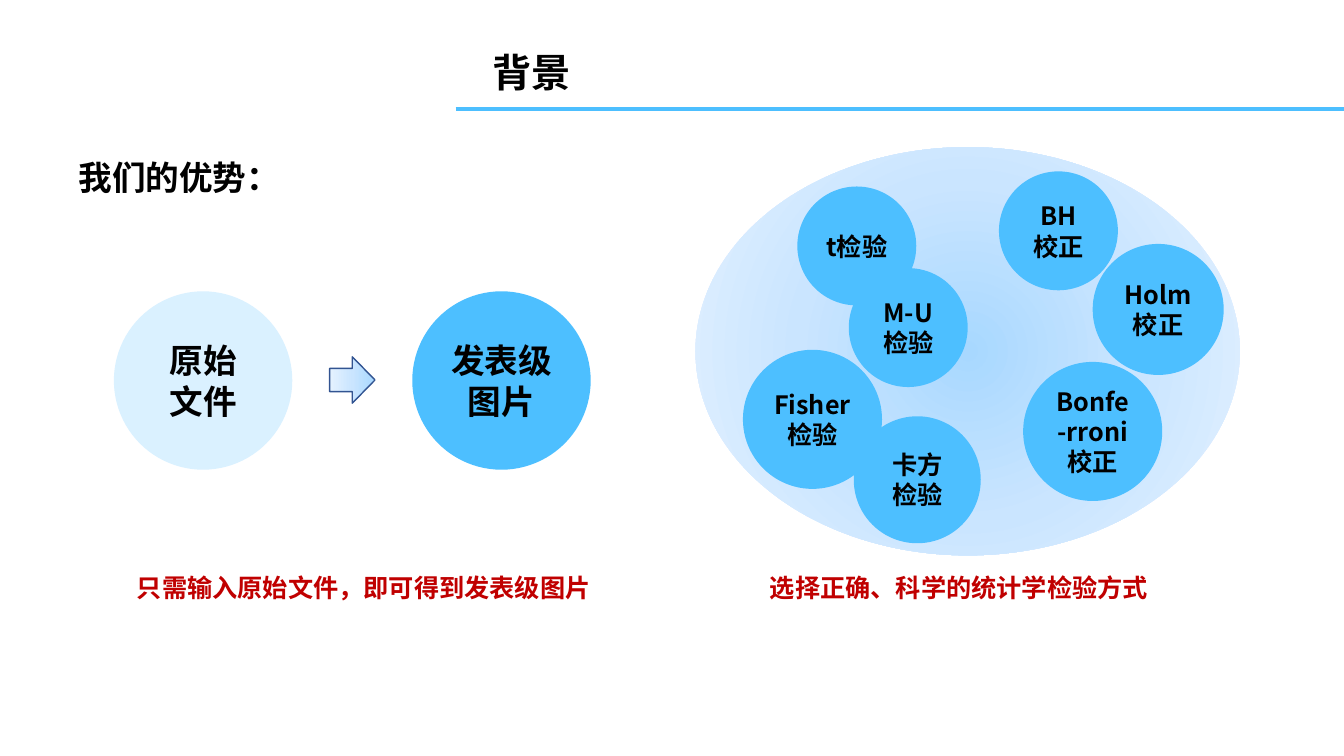
from pptx import Presentation
from pptx.dml.color import RGBColor as Rgb
from pptx.enum.shapes import MSO_CONNECTOR as Link, MSO_SHAPE as Kind
from pptx.enum.text import MSO_ANCHOR as Anchor, MSO_AUTO_SIZE as Auto, PP_ALIGN as Align
from pptx.oxml import parse_xml as to_xml
from pptx.oxml.ns import nsdecls, qn
from pptx.util import Inches, Pt

CELL = Inches(0.1)
COLS, ROWS = 133.33, 75
FONT = "Noto Sans CJK SC"
HUE = {"ink": "000000", "blue": "4DBFFF", "pale": "DAF1FF",
       "red": "C00000", "navy": "325491"}
FADE = {0: "A8D8FF", 50: "CAE5FF", 100: "E5F2FF"}
ROUND = ('<a:path path="circle"><a:fillToRect l="50000" t="50000" '
         'r="50000" b="50000"/></a:path>')
LEFT = '<a:lin ang="10800000" scaled="0"/>'

TESTS = [
    (79.1, 18.5, 11.8, "t检验"),
    (84.2, 26.6, 11.8, "M-U检验"),
    (73.7, 34.7, 13.8, "Fisher检验"),
    (84.7, 41.3, 12.6, "卡方检验"),
    (99.1, 17, 11.8, "BH\n校正"),
    (108.4, 24.2, 13, "Holm\n校正"),
    (101.5, 35.9, 13.8, "Bonfe-rroni\n校正"),
]


def grid(*cells):
    return [round(cell * CELL) for cell in cells]


def write(frame, text, size, hue="ink", align=Align.LEFT):
    frame.text = text
    for para in frame.paragraphs:
        para.alignment = align
        for run in para.runs:
            font = run.font
            font.name, font.size, font.bold = FONT, Pt(size), True
            font.color.rgb = Rgb.from_string(HUE[hue])
            east = to_xml(f'<a:ea {nsdecls("a")} typeface="{FONT}"/>')
            font._element.find(qn("a:latin")).addnext(east)


def label(slide, box, text, size, hue="ink"):
    frame = slide.shapes.add_textbox(*grid(*box)).text_frame
    frame.word_wrap = False
    frame.auto_size = Auto.SHAPE_TO_FIT_TEXT
    write(frame, text, size, hue)
    return frame


def shape(slide, kind, box):
    item = slide.shapes.add_shape(kind, *grid(*box))
    item.shadow.inherit = False
    item.line.fill.background()
    return item


def disc(slide, x, y, side, text, size=18, fill="blue"):
    item = shape(slide, Kind.OVAL, (x, y, side, side))
    item.fill.solid()
    item.fill.fore_color.rgb = Rgb.from_string(HUE[fill])
    item.text_frame.word_wrap = True
    item.text_frame.vertical_anchor = Anchor.MIDDLE
    write(item.text_frame, text, size, align=Align.CENTER)


def blend(item, path):
    stops = "".join(f'<a:gs pos="{pos * 1000}"><a:srgbClr val="{hue}"/></a:gs>'
                    for pos, hue in FADE.items())
    fill = to_xml(f'<a:gradFill {nsdecls("a")} rotWithShape="1">'
                  f'<a:gsLst>{stops}</a:gsLst>{path}</a:gradFill>')
    item._element.spPr.find(qn("a:prstGeom")).addnext(fill)


def rule(slide, x, y, end):
    line = slide.shapes.add_connector(Link.STRAIGHT, *grid(x, y, end, y))
    line.line.color.rgb = Rgb.from_string(HUE["blue"])
    line.line.width = Pt(3)
    line._element.spPr.append(to_xml(f'<a:effectLst {nsdecls("a")}/>'))


def title(slide, box, text):
    frame = label(slide, box, text, 28)
    frame.auto_size = Auto.NONE
    frame.word_wrap = True
    frame.vertical_anchor = Anchor.MIDDLE
    frame.paragraphs[0].line_spacing = 1.14


def arrow(slide, box):
    item = shape(slide, Kind.RIGHT_ARROW, box)
    blend(item, LEFT)
    item.line.color.rgb = Rgb.from_string(HUE["navy"])
    item.line.width = Pt(1)


def main():
    deck = Presentation()
    deck.slide_width, deck.slide_height = grid(COLS, ROWS)
    slide = deck.slides.add_slide(deck.slide_layouts[6])

    rule(slide, 45.2, 10.8, COLS)
    blend(shape(slide, Kind.OVAL, (69, 14.6, 54, 40.5)), ROUND)
    title(slide, (47.9, 1.2, 85.4, 11.3), "背景")
    label(slide, (6.8, 15.1, 22.2, 5), "我们的优势：", 24)

    disc(slide, 11.3, 28.9, 17.7, "原始\n文件", 24, "pale")
    disc(slide, 40.9, 28.9, 17.7, "发表级图片", 24)
    arrow(slide, (32.7, 35.4, 4.5, 4.6))
    label(slide, (12.6, 56.3, 47.5, 4), "只需输入原始文件，即可得到发表级图片", 18, "red")

    for test in TESTS:
        disc(slide, *test)
    label(slide, (75.4, 56.3, 39.9, 4), "选择正确、科学的统计学检验方式", 18, "red")

    deck.save("out.pptx")


if __name__ == "__main__":
    main()
